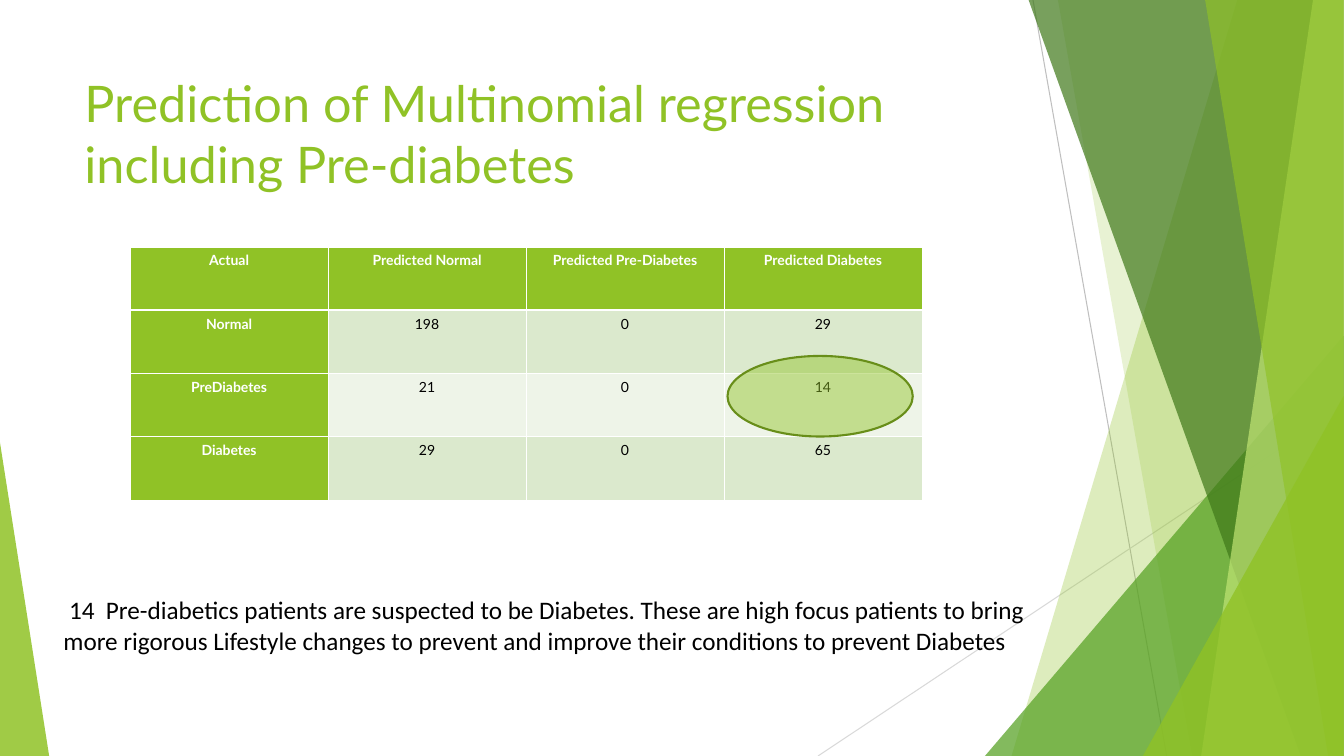
from collections import namedtuple
from dataclasses import dataclass

from lxml import etree
from pptx import Presentation
from pptx import util as u
from pptx.dml.color import RGBColor
from pptx.enum import shapes, text
from pptx.oxml import ns

Box = namedtuple("Box", "left top width height")


@dataclass(frozen=True)
class Theme:
    """Colours, fonts and type sizes of the deck."""
    lime: str = "90C226"
    green: str = "54A021"
    forest: str = "3F7819"
    pale: str = "C0E474"
    olive: str = "688E19"
    band_dark: str = "DBE9CD"
    band_light: str = "EEF4E8"
    white: str = "FFFFFF"
    black: str = "000000"
    ray_dark: str = "BFBFBF"
    ray_light: str = "D9D9D9"
    heading_font: str = "Lato"
    body_font: str = "Calibri"
    title_size: float = 36
    table_size: float = 10
    caption_size: float = 18


THEME = Theme()

RESULTS = [
    ["Actual", "Predicted Normal", "Predicted Pre-Diabetes", "Predicted Diabetes"],
    ["Normal", "198", "0", "29"],
    ["PreDiabetes", "21", "0", "14"],
    ["Diabetes", "29", "0", "65"],
]


def cm_box(box):
    """Return the box as four lengths."""
    return [u.Cm(value) for value in box]


def write(frame, words, *, font, size, color, bold=False, align=text.PP_ALIGN.LEFT):
    """Write one formatted paragraph into a text frame."""
    para = frame.paragraphs[0]
    para.alignment = align
    span = para.add_run()
    span.text = words
    span.font.name = font
    span.font.size = u.Pt(size)
    span.font.bold = bold
    span.font.color.rgb = RGBColor.from_string(color)


def paint(shape, color, opacity):
    """Give a shape a translucent fill with no line and no shadow."""
    shape.shadow.inherit = False
    shape.line.fill.background()
    shape.fill.solid()
    shape.fill.fore_color.rgb = RGBColor.from_string(color)
    tone = shape.element.spPr.find(ns.qn("a:solidFill"))[0]
    etree.SubElement(tone, ns.qn("a:alpha"), val=str(opacity * 1000))


def add_ray(page, start, end, color):
    """Draw a thin straight line between two points."""
    ray = page.shapes.add_connector(
        shapes.MSO_CONNECTOR.STRAIGHT, *cm_box(start + end))
    ray.line.color.rgb = RGBColor.from_string(color)
    ray.line.width = u.Pt(0.75)
    etree.SubElement(ray.element.spPr, ns.qn("a:effectLst"))


def add_blade(page, box, top_x, bottom_x, color, opacity):
    """Draw a full-height panel from a slanted left edge to the box's right side."""
    right, bottom = box.left + box.width, box.top + box.height
    corners = [(box.left + top_x, box.top), (right, box.top),
               (right, bottom), (box.left + bottom_x, bottom)]
    points = [(u.Cm(x), u.Cm(y)) for x, y in corners]
    builder = page.shapes.build_freeform(*points[0])
    builder.add_line_segments(points[1:], close=True)
    paint(builder.convert_to_shape(), color, opacity)


def add_wedge(page, box, apex, color, opacity):
    """Draw a triangle whose apex sits at a fraction of its width."""
    wedge = page.shapes.add_shape(
        shapes.MSO_SHAPE.ISOSCELES_TRIANGLE, *cm_box(box))
    wedge.adjustments[0] = apex
    paint(wedge, color, opacity)


def corner_box(box, width, height):
    """Return a box in the bottom right corner of another."""
    return Box(box.left + box.width - width, box.top + box.height - height,
               width, height)


def add_right_facets(page, box):
    """Draw the overlapping facets along the right side."""
    right, bottom = box.left + box.width, box.top + box.height
    add_ray(page, (box.left + 5.42, box.top), (box.left + 8.79, bottom), THEME.ray_dark)
    add_ray(page, (right, box.top + 10.24), (box.left, bottom), THEME.ray_light)
    add_blade(page, box, 10.57, 4.88, THEME.lime, 30)
    add_blade(page, box, 6.05, 9.43, THEME.lime, 20)
    add_wedge(page, corner_box(box, 9.04, 10.59), 1, THEME.green, 72)
    add_blade(page, box, 5.31, 12.17, THEME.forest, 70)
    add_blade(page, box, 12.48, 9.66, THEME.pale, 70)
    add_blade(page, box, 9.76, 12.86, THEME.lime, 65)
    add_wedge(page, corner_box(box, 5.06, 9.07), 1, THEME.lime, 80)


def add_text(page, box, words, **style):
    """Place a wrapped text box."""
    frame = page.shapes.add_textbox(*cm_box(box)).text_frame
    frame.word_wrap = True
    write(frame, words, **style)


def set_borders(cell, **widths):
    """Draw white borders on a cell, with a width in points for each side."""
    props = cell._tc.get_or_add_tcPr()
    for side in "LRTB":
        edge = etree.SubElement(props, ns.qn(f"a:ln{side}"),
                                w=str(u.Pt(widths.get(side, 0.45))))
        fill = etree.SubElement(edge, ns.qn("a:solidFill"))
        etree.SubElement(fill, ns.qn("a:srgbClr"), val=THEME.white)


def add_results(page, box):
    """Place the confusion table and ring its pre-diabetes to diabetes count."""
    rows, cols = len(RESULTS), len(RESULTS[0])
    table = page.shapes.add_table(rows, cols, *cm_box(box)).table
    col_width, row_height = box.width / cols, box.height / rows
    for column in table.columns:
        column.width = u.Cm(col_width)
    for r, values in enumerate(RESULTS):
        table.rows[r].height = u.Cm(row_height)
        for c, value in enumerate(values):
            cell = table.cell(r, c)
            label = r == 0 or c == 0
            band = THEME.band_dark if r % 2 else THEME.band_light
            set_borders(cell, **{0: {"B": 1.47}, 1: {"T": 1.47}}.get(r, {}))
            cell.fill.solid()
            cell.fill.fore_color.rgb = RGBColor.from_string(
                THEME.lime if label else band)
            cell.margin_left = cell.margin_right = u.Cm(0.2)
            cell.margin_top = cell.margin_bottom = u.Cm(0.13)
            write(cell.text_frame, value, font=THEME.heading_font,
                  size=THEME.table_size, bold=label,
                  color=THEME.white if label else THEME.black,
                  align=text.PP_ALIGN.CENTER)
    ring_box = Box(box.left + 3 * col_width + 0.09, box.top + 2 * row_height - 0.44,
                   4.67, 2.03)
    ring = page.shapes.add_shape(shapes.MSO_SHAPE.OVAL, *cm_box(ring_box))
    paint(ring, THEME.lime, 46)
    ring.line.color.rgb = RGBColor.from_string(THEME.olive)
    ring.line.width = u.Pt(1.5)


def main():
    """Build and save the deck."""
    deck = Presentation()
    deck.slide_width, deck.slide_height = u.Cm(33.88), u.Cm(19.05)
    page = deck.slides.add_slide(deck.slide_layouts[6])
    add_right_facets(page, Box(20.62, 0, 13.25, 19.05))
    add_wedge(page, Box(0, 11.15, 1.24, 7.9), 0, THEME.lime, 85)
    add_text(page, Box(1.88, 1.7, 23.88, 3.66),
             "Prediction of Multinomial regression including Pre-diabetes",
             font=THEME.heading_font, size=THEME.title_size, color=THEME.lime)
    add_results(page, Box(3.28, 6.22, 19.96, 6.38))
    add_text(page, Box(1.35, 14.86, 24.97, 1.78),
             " 14  Pre-diabetics patients are suspected to be Diabetes. "
             "These are high focus patients to bring more rigorous Lifestyle "
             "changes to prevent and improve their conditions to prevent Diabetes",
             font=THEME.body_font, size=THEME.caption_size, color=THEME.black)
    deck.save("out.pptx")


if __name__ == "__main__":
    main()
